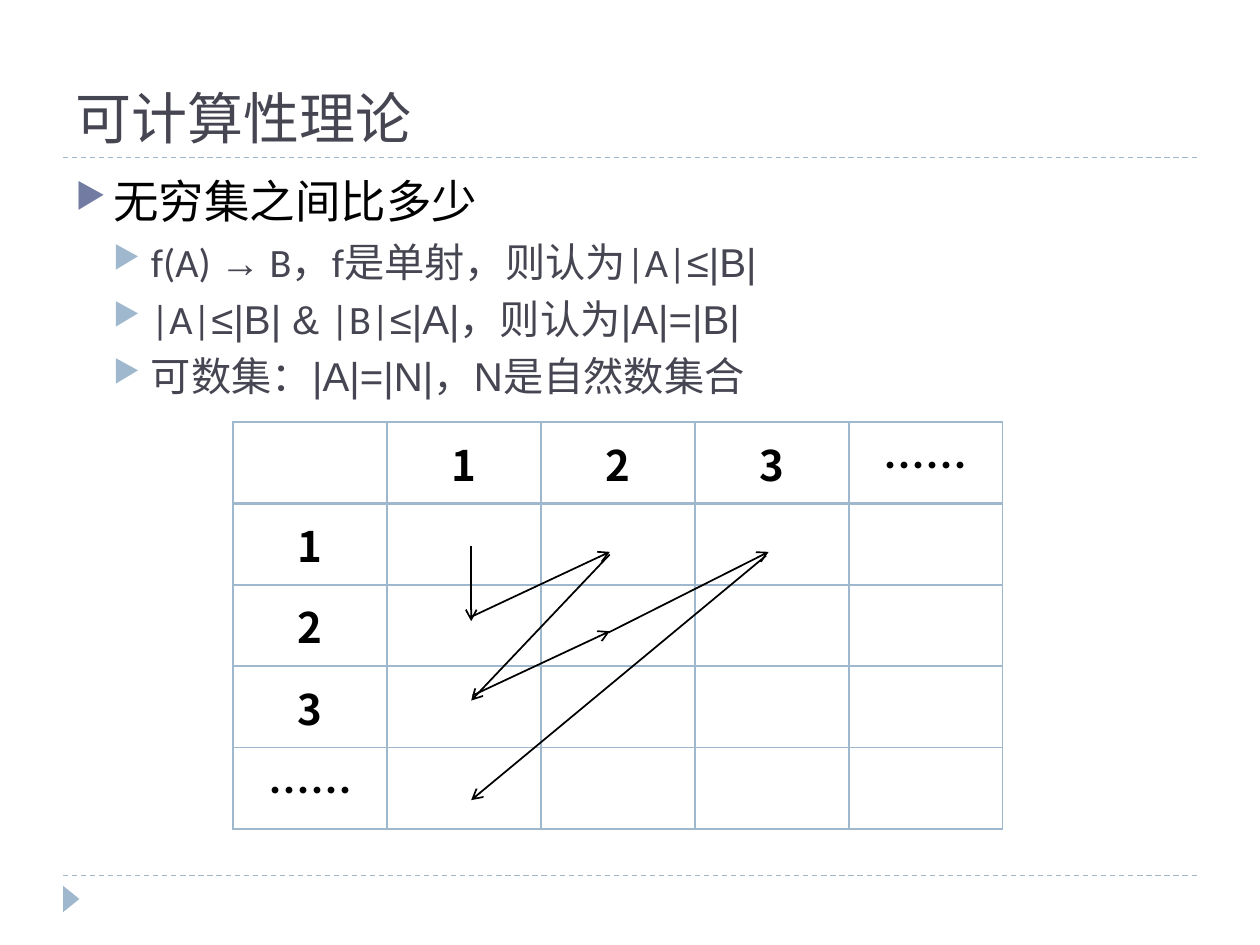
from pptx import Presentation, util as u
from pptx.dml.color import RGBColor
from pptx.enum import dml, shapes, text
from pptx.oxml import parse_xml
from pptx.oxml.ns import nsdecls, qn

Inches, Pt = u.Inches, u.Pt
THEME = {
    "title": "464653", "heading": "000000", "detail": "464653", "accent": "9FB8CD",
    "bullet": "727CA3", "arrow": "000000",
    "title_font": "TeX Gyre Bonum", "latin": "Calibri", "math": "Arial", "cjk": "Noto Sans CJK SC",
    "title_size": 32, "heading_size": 26, "detail_size": 23, "table_size": 24,
}


def add_run(paragraph, words, font, size, color, bold=False):
    run = paragraph.add_run()
    run.text = words
    look = {"name": font, "size": Pt(size), "bold": bold}
    for key, value in look.items():
        setattr(run.font, key, value)
    run.font.color.rgb = RGBColor.from_string(color)
    east_asian = parse_xml(f'<a:ea {nsdecls("a")} typeface="{THEME["cjk"]}"/>')
    run._r.rPr.find(qn("a:latin")).addnext(east_asian)


def add_line(start, end, color, width, dashed=False, arrow=False):
    line = slide.shapes.add_connector(
        shapes.MSO_CONNECTOR.STRAIGHT, *(Inches(v) for v in start + end))
    line.line.color.rgb = RGBColor.from_string(color)
    line.line.width = Pt(width)
    if dashed:
        line.line.dash_style = dml.MSO_LINE.DASH
    if arrow:
        line.line._get_or_add_ln().append(
            parse_xml(f'<a:tailEnd {nsdecls("a")} type="arrow"/>'))
    line._element.spPr.append(parse_xml(f'<a:effectLst {nsdecls("a")}/>'))


deck = Presentation()
deck.slide_width, deck.slide_height = Inches(10), Inches(7.5)
slide = deck.slides.add_slide(deck.slide_layouts[5])

# Rules and the footer marker
for y in (6.95, 1.25):
    add_line((0.5, y), (9.5, y), THEME["accent"], 0.75, dashed=True)
marker = slide.shapes.add_shape(
    shapes.MSO_SHAPE.ISOSCELES_TRIANGLE, Inches(0.46), Inches(7.07), Inches(0.21), Inches(0.13))
marker.rotation = 90
marker.shadow.inherit = False
marker.fill.solid()
marker.fill.fore_color.rgb = RGBColor.from_string(THEME["accent"])
marker.line.fill.background()

# Title
title = slide.shapes.title
place = {"left": 0.5, "top": 0.17, "width": 9, "height": 1.08}
for key, value in place.items():
    setattr(title, key, Inches(value))
title.text_frame.vertical_anchor = text.MSO_ANCHOR.BOTTOM
heading = title.text_frame.paragraphs[0]
heading.alignment = text.PP_ALIGN.LEFT
add_run(heading, "可计算性理论", THEME["title_font"], THEME["title_size"], THEME["title"])

# Bulleted statements: level, then (words, font) pieces
LATIN, MATH = THEME["latin"], THEME["math"]
statements = [
    (0, [("无穷集之间比多少", LATIN)]),
    (1, [("f(A) ", LATIN), ("→", MATH), (" B，f是单射，则认为|A|", LATIN), ("≤|B|", MATH)]),
    (1, [("|A|", LATIN), ("≤|B| & ", MATH), ("|B|", LATIN), ("≤|A|，则认为|A|=|B|", MATH)]),
    (1, [("可数集：|A|=|N|，N是自然数集合", MATH)]),
]
levels = [
    {"size": THEME["heading_size"], "color": THEME["heading"], "bullet": THEME["bullet"],
     "before": 6, "spacing": 31},
    {"size": THEME["detail_size"], "color": THEME["detail"], "bullet": THEME["accent"],
     "before": 5, "spacing": 27.6},
]
body = slide.shapes.add_textbox(Inches(0.5), Inches(1.33), Inches(9), Inches(2)).text_frame
body.word_wrap = True
for index, (level, pieces) in enumerate(statements):
    statement = body.paragraphs[0] if index == 0 else body.add_paragraph()
    style = levels[level]
    statement.level = level
    statement.space_before = Pt(style["before"])
    statement.line_spacing = Pt(style["spacing"])
    props = statement._p.get_or_add_pPr()
    props.set("marL", str(Inches(0.3 * (level + 1))))
    props.set("indent", str(Inches(-0.3)))
    for bullet in (f'<a:buClr {nsdecls("a")}><a:srgbClr val="{style["bullet"]}"/></a:buClr>',
                   f'<a:buSzPct {nsdecls("a")} val="76000"/>',
                   f'<a:buChar {nsdecls("a")} char="▶"/>'):
        props.append(parse_xml(bullet))
    for words, font in pieces:
        add_run(statement, words, font, style["size"], style["color"])

# Grid of pairs, labelled alike across and down
labels = ["", "1", "2", "3", "……"]
count = len(labels)
grid = slide.shapes.add_table(
    count, count, Inches(1.85), Inches(3.35), Inches(6.11), Inches(3.23)).table
for i in range(count):
    grid.columns[i].width = Inches(6.11 / count)
    grid.rows[i].height = Inches(3.23 / count)
for r in range(count):
    for c in range(count):
        cell = grid.cell(r, c)
        cell.fill.background()
        cell.vertical_anchor = text.MSO_ANCHOR.MIDDLE
        label = cell.text_frame.paragraphs[0]
        label.alignment = text.PP_ALIGN.CENTER
        if r * c == 0 and r + c > 0:
            add_run(label, labels[r + c], THEME["cjk"], THEME["table_size"],
                    THEME["heading"], bold=True)
        # The rule under the header row is twice as thick
        widths = {"L": 1, "R": 1, "T": 2 if r == 1 else 1, "B": 2 if r == 0 else 1}
        for position, (side, width) in enumerate(widths.items()):
            cell._tc.get_or_add_tcPr().insert(position, parse_xml(
                f'<a:ln{side} {nsdecls("a")} w="{Pt(width)}"><a:solidFill>'
                f'<a:srgbClr val="{THEME["accent"]}"/></a:solidFill></a:ln{side}>'))

# Zigzag counting path
steps = [
    ((3.74, 4.33), (3.74, 4.93)),
    ((3.73, 4.9), (4.84, 4.38)),
    ((4.84, 4.4), (3.74, 5.56)),
    ((3.75, 5.52), (4.84, 5.01)),
    ((4.83, 5.02), (6.1, 4.38)),
    ((6.08, 4.41), (3.74, 6.35)),
]
for start, end in steps:
    add_line(start, end, THEME["arrow"], 1, arrow=True)

deck.save("out.pptx")
